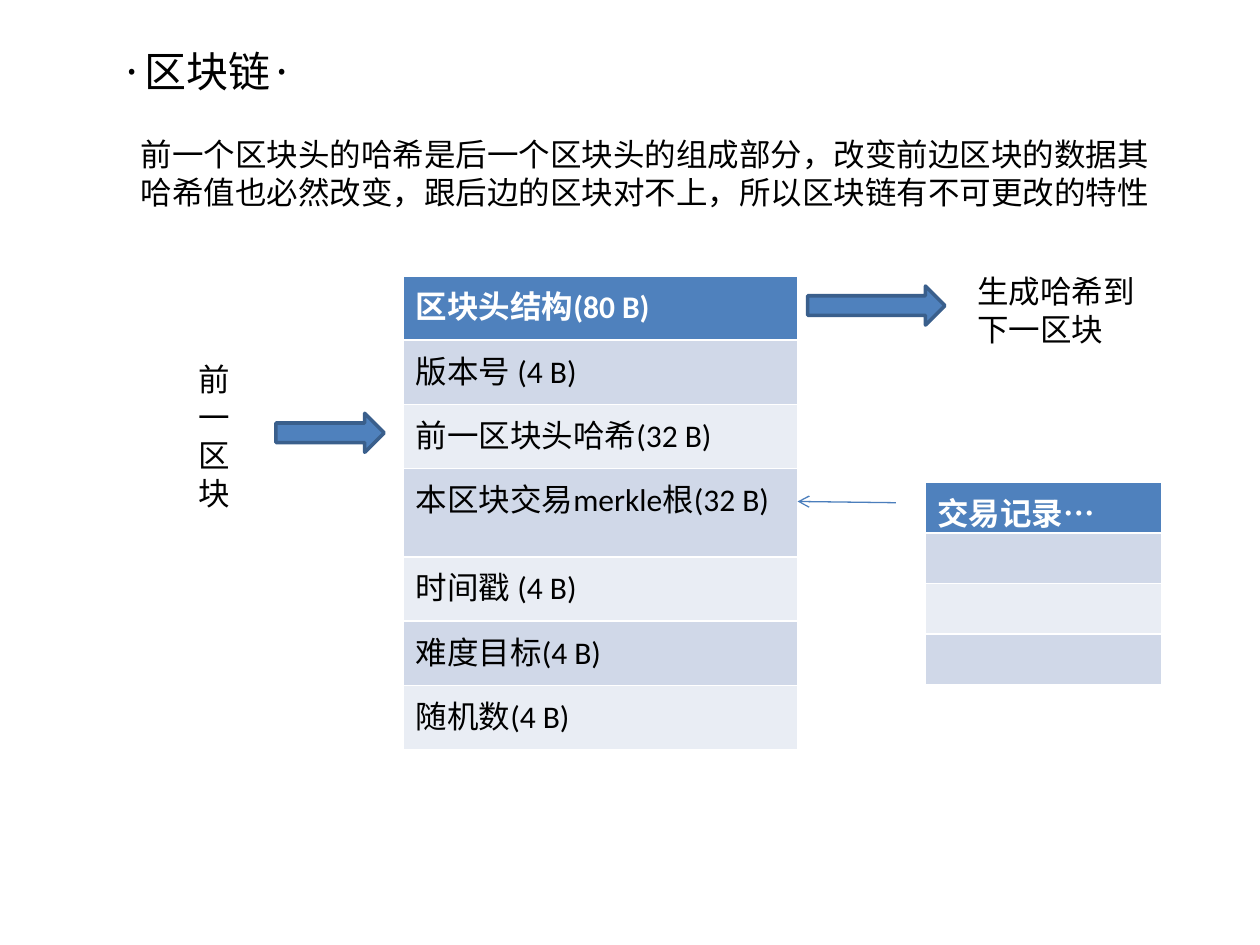
from lxml.etree import SubElement
from pptx import Presentation
from pptx.dml.color import RGBColor
from pptx.enum.shapes import MSO_CONNECTOR, MSO_SHAPE
from pptx.enum.text import MSO_ANCHOR as Anchor, MSO_AUTO_SIZE as AutoSize, PP_ALIGN as Align
from pptx.oxml.ns import qn
from pptx.util import Inches, Pt

BLACK = RGBColor(0x00, 0x00, 0x00)
WHITE = RGBColor(0xFF, 0xFF, 0xFF)
BLUE = RGBColor(0x4F, 0x81, 0xBD)
OUTLINE = RGBColor(0x3A, 0x5F, 0x8C)
LINK = RGBColor(0x4B, 0x7E, 0xBC)
BANDS = (RGBColor(0xD0, 0xD8, 0xE8), RGBColor(0xE9, 0xED, 0xF4))


class SlideBuilder:
    latin_font = "Calibri"
    asian_font = "Noto Sans CJK SC"
    title_font = "Noto Sans CJK JP"
    body_size = 18
    title_size = 24

    def __init__(self, presentation):
        self.slide = presentation.slides.add_slide(presentation.slide_layouts[5])

    def set_text(self, frame, text, size=body_size, color=BLACK, bold=False,
                 latin=latin_font, asian=asian_font):
        frame.text = text
        paragraph = frame.paragraphs[0]
        paragraph.alignment = Align.LEFT
        font = paragraph.font
        font.size = Pt(size)
        font.bold = bold
        font.color.rgb = color
        font.name = latin
        properties = paragraph._p.pPr.find(qn("a:defRPr"))
        SubElement(properties, qn("a:ea"), typeface=asian)

    def title(self, text, left, top, width, height):
        title = self.slide.shapes.title
        title.left, title.top = Inches(left), Inches(top)
        title.width, title.height = Inches(width), Inches(height)
        frame = title.text_frame
        frame.auto_size = AutoSize.NONE
        frame.vertical_anchor = Anchor.TOP
        self.set_text(frame, text, self.title_size,
                      latin=self.title_font, asian=self.title_font)

    def text(self, text, left, top, width, height, latin=latin_font):
        box = self.slide.shapes.add_textbox(
            Inches(left), Inches(top), Inches(width), Inches(height))
        box.text_frame.word_wrap = True
        self.set_text(box.text_frame, text, latin=latin)

    def block_arrow(self, left, top, width, height=0.31):
        arrow = self.slide.shapes.add_shape(
            MSO_SHAPE.RIGHT_ARROW, Inches(left), Inches(top), Inches(width), Inches(height))
        arrow.shadow.inherit = False
        arrow.fill.solid()
        arrow.fill.fore_color.rgb = BLUE
        arrow.line.color.rgb = OUTLINE
        arrow.line.width = Pt(2)

    def line_arrow(self, start_x, start_y, end_x, end_y):
        connector = self.slide.shapes.add_connector(
            MSO_CONNECTOR.STRAIGHT, Inches(start_x), Inches(start_y),
            Inches(end_x), Inches(end_y))
        connector.line.color.rgb = LINK
        connector.line.width = Pt(0.75)
        properties = connector._element.spPr
        SubElement(properties.find(qn("a:ln")), qn("a:tailEnd"), type="arrow")
        SubElement(properties, qn("a:effectLst"))

    def table(self, entries, left, top, width, row_height):
        table = self.slide.shapes.add_table(
            len(entries), 1, Inches(left), Inches(top), Inches(width),
            Inches(row_height * len(entries))).table
        for index, entry in enumerate(entries):
            is_header = index == 0
            table.rows[index].height = Inches(row_height)
            cell = table.cell(index, 0)
            cell.fill.solid()
            cell.fill.fore_color.rgb = BLUE if is_header else BANDS[(index - 1) % 2]
            if entry:
                self.set_text(cell.text_frame, entry,
                              color=WHITE if is_header else BLACK, bold=is_header)


def main():
    presentation = Presentation()
    presentation.slide_width = Inches(10)
    presentation.slide_height = Inches(7.5)
    builder = SlideBuilder(presentation)

    builder.title("·区块链·", 0.86, 0.31, 5.31, 0.5)
    builder.text("前一个区块头的哈希是后一个区块头的组成部分，改变前边区块的数据其"
                 "哈希值也必然改变，跟后边的区块对不上，所以区块链有不可更改的特性",
                 1.02, 1.02, 8.2, 0.71, latin=builder.asian_font)

    header_fields = ["区块头结构(80 B)", "版本号 (4 B)", "前一区块头哈希(32 B)",
                     "本区块交易merkle根(32 B)", "时间戳 (4 B)", "难度目标(4 B)", "随机数(4 B)"]
    builder.table(header_fields, 3.2, 2.19, 3.13, 0.51)
    builder.table(["交易记录…", "", "", ""], 7.34, 3.83, 1.88, 0.38)

    builder.text("前一区块", 1.48, 2.81, 0.47, 1.31)
    builder.block_arrow(2.19, 3.28, 0.86)
    builder.block_arrow(6.41, 2.27, 1.09)
    builder.text("生成哈希到下一区块", 7.66, 2.11, 1.64, 0.71)
    builder.line_arrow(7.11, 3.99, 6.33, 3.98)

    presentation.save("out.pptx")


if __name__ == "__main__":
    main()
